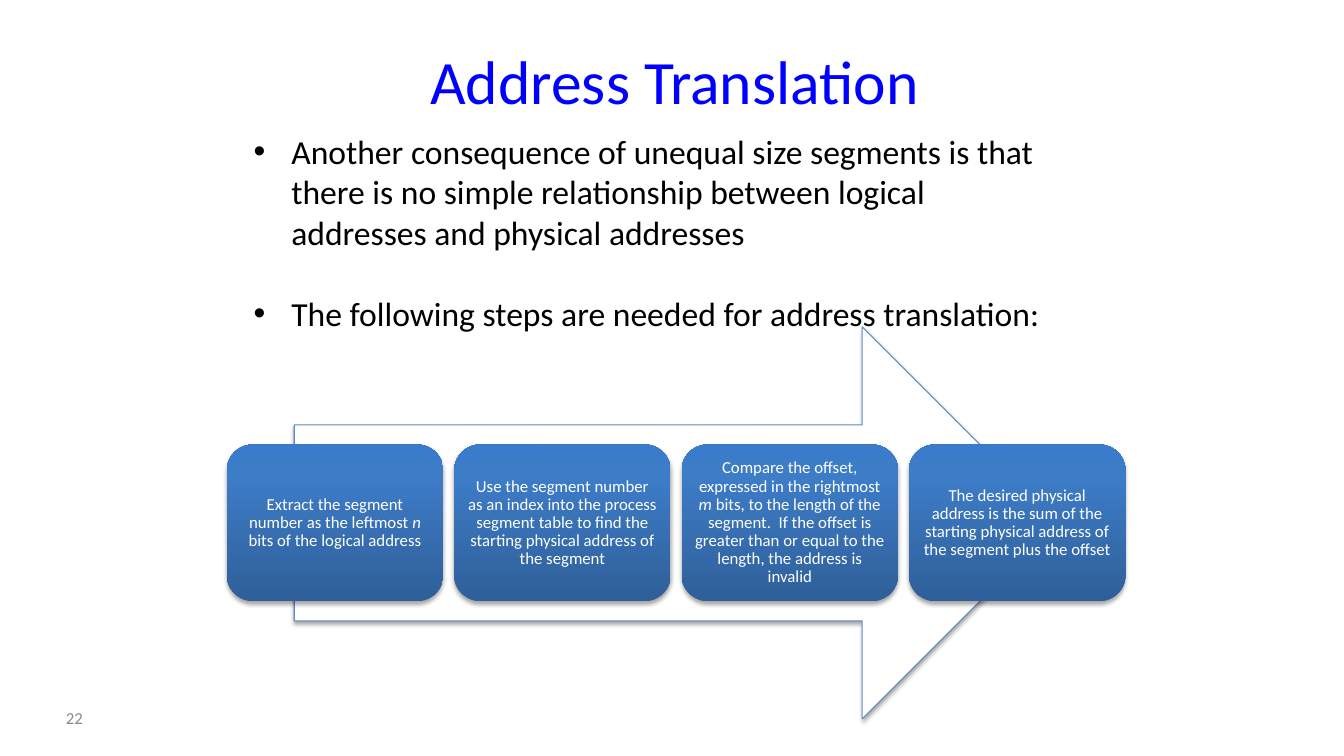
from dataclasses import dataclass

from lxml import etree
from pptx import Presentation
from pptx.dml.color import RGBColor
from pptx.enum import shapes, text
from pptx.oxml import ns
from pptx.util import Pt


@dataclass(frozen=True)
class Theme:
    font: str = "Calibri"
    title: str = "0000FF"
    body: str = "000000"
    muted: str = "898989"
    white: str = "FFFFFF"
    outline: str = "4F81BD"
    shadow: str = "000000"
    gradient: tuple = ((0, "2F5F99"), (80, "3D7CC7"), (100, "3A7CCB"))
    title_size: int = 44
    body_size: int = 24
    small_size: int = 12


@dataclass(frozen=True)
class Box:
    """An area of the page, in points."""
    left: float
    top: float
    width: float
    height: float

    def lengths(self):
        return [Pt(side) for side in (self.left, self.top, self.width, self.height)]


THEME = Theme()
BULLETS = [
    "Another consequence of unequal size segments is that there is no simple "
    "relationship between logical addresses and physical addresses",
    "The following steps are needed for address translation:",
]
# Each step is a list of spans; every second span is italic.
STEPS = [
    ["Extract the segment number as the leftmost ", "n",
     " bits of the logical address"],
    ["Use the segment number as an index into the process segment table to find "
     "the starting physical address of the segment"],
    ["Compare the offset, expressed in the rightmost ", "m",
     " bits, to the length of the segment.  If the offset is greater than or equal "
     "to the length, the address is invalid"],
    ["The desired physical address is the sum of the starting physical address of "
     "the segment plus the offset"],
]


def add_xml(parent, tag, **attributes):
    return etree.SubElement(parent, ns.qn(tag), attributes)


def set_font(font, size, colour):
    font.name = THEME.font
    font.size = Pt(size)
    font.color.rgb = RGBColor.from_string(colour)


def add_text(page, box, words, size, colour, align=text.PP_ALIGN.LEFT,
             anchor=text.MSO_ANCHOR.MIDDLE):
    """Add a text box with one paragraph for each line of words."""
    frame = page.shapes.add_textbox(*box.lengths()).text_frame
    frame.word_wrap = True
    frame.vertical_anchor = anchor
    frame.text = words
    for para in frame.paragraphs:
        para.alignment = align
        for span in para.runs:
            set_font(span.font, size, colour)
    return frame


def add_bullets(page, box):
    frame = add_text(page, box, "\n".join(BULLETS), THEME.body_size, THEME.body,
                     anchor=text.MSO_ANCHOR.TOP)
    for index, para in enumerate(frame.paragraphs):
        if index:
            para.space_before = Pt(29)
        properties = para._p.get_or_add_pPr()
        properties.set("marL", str(Pt(27)))
        properties.set("indent", str(-Pt(27)))
        add_xml(properties, "a:buFont", typeface="Arial")
        add_xml(properties, "a:buChar", char="•")


def add_shadow(shape):
    """Give the shape a soft shadow straight below it."""
    shape.shadow.inherit = False
    effects = shape._element.spPr.find(ns.qn("a:effectLst"))
    shadow = add_xml(effects, "a:outerShdw", blurRad=str(Pt(3.1)), dist=str(Pt(1.8)),
                     dir="5400000", rotWithShape="0")
    colour = add_xml(shadow, "a:srgbClr", val=THEME.shadow)
    add_xml(colour, "a:alpha", val="35000")


def fill_gradient(shape):
    shape.fill.gradient()
    shape.fill.gradient_angle = 90
    stops = shape._element.spPr.find(".//" + ns.qn("a:gsLst"))
    for stop in list(stops):
        stops.remove(stop)
    for percent, colour in THEME.gradient:
        stop = add_xml(stops, "a:gs", pos=str(percent * 1000))
        add_xml(stop, "a:srgbClr", val=colour)


def add_arrow(page, box):
    arrow = page.shapes.add_shape(shapes.MSO_SHAPE.RIGHT_ARROW, *box.lengths())
    arrow.fill.solid()
    arrow.fill.fore_color.rgb = RGBColor.from_string(THEME.white)
    arrow.line.width = Pt(0.75)
    arrow.line.color.rgb = RGBColor.from_string(THEME.outline)
    colour = arrow._element.spPr.find(ns.qn("a:ln")).find(".//" + ns.qn("a:srgbClr"))
    add_xml(colour, "a:alpha", val="90000")
    add_shadow(arrow)


def add_step(page, box, spans):
    step = page.shapes.add_shape(shapes.MSO_SHAPE.ROUNDED_RECTANGLE, *box.lengths())
    fill_gradient(step)
    step.line.fill.background()
    add_shadow(step)
    frame = step.text_frame
    frame.word_wrap = True
    frame.vertical_anchor = text.MSO_ANCHOR.MIDDLE
    frame.margin_left = frame.margin_right = Pt(3.6)
    frame.margin_top = frame.margin_bottom = Pt(3.6)
    para = frame.paragraphs[0]
    para.alignment = text.PP_ALIGN.CENTER
    para.line_spacing = 0.9
    for index, words in enumerate(spans):
        span = para.add_run()
        span.text = words
        set_font(span.font, THEME.small_size, THEME.white)
        span.font.italic = index % 2 == 1


def add_process(page, box, gap=7.7):
    """Add the arrow and, across its middle, a row of equal steps."""
    add_arrow(page, Box(box.left + 48.2, box.top, box.width * 0.85, box.height))
    width = (box.width - gap * (len(STEPS) - 1)) / len(STEPS)
    height = box.height * 0.4
    top = box.top + (box.height - height) / 2
    for index, spans in enumerate(STEPS):
        left = box.left + index * (width + gap)
        add_step(page, Box(left, top, width, height), spans)


def main():
    deck = Presentation()
    deck.slide_width, deck.slide_height = Pt(960), Pt(540)
    page = deck.slides.add_slide(deck.slide_layouts[6])
    add_text(page, Box(174, 30, 616, 54), "Address Translation", THEME.title_size,
             THEME.title, align=text.PP_ALIGN.CENTER)
    add_bullets(page, Box(174, 90, 594, 150))
    add_process(page, Box(162, 233.5, 642, 280))
    add_text(page, Box(40, 498, 104, 29), "22", THEME.small_size, THEME.muted)
    deck.save("out.pptx")


if __name__ == "__main__":
    main()
